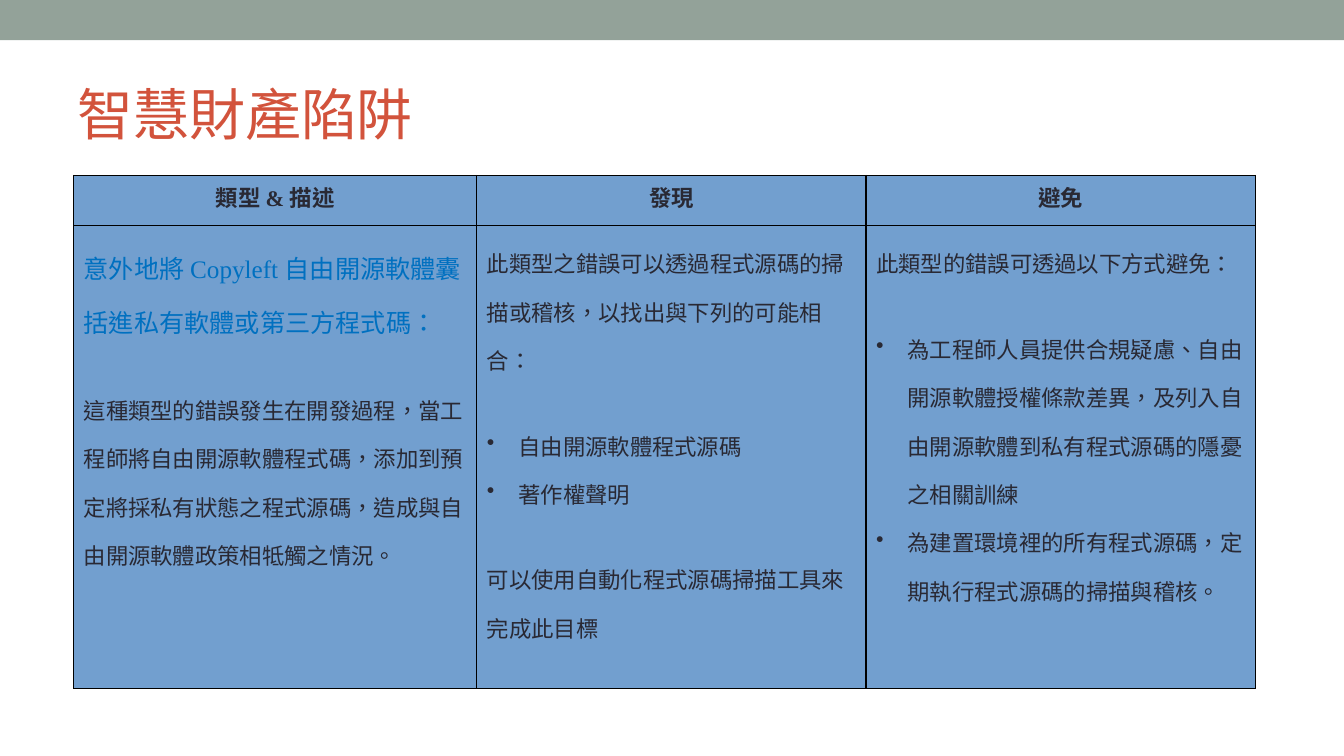
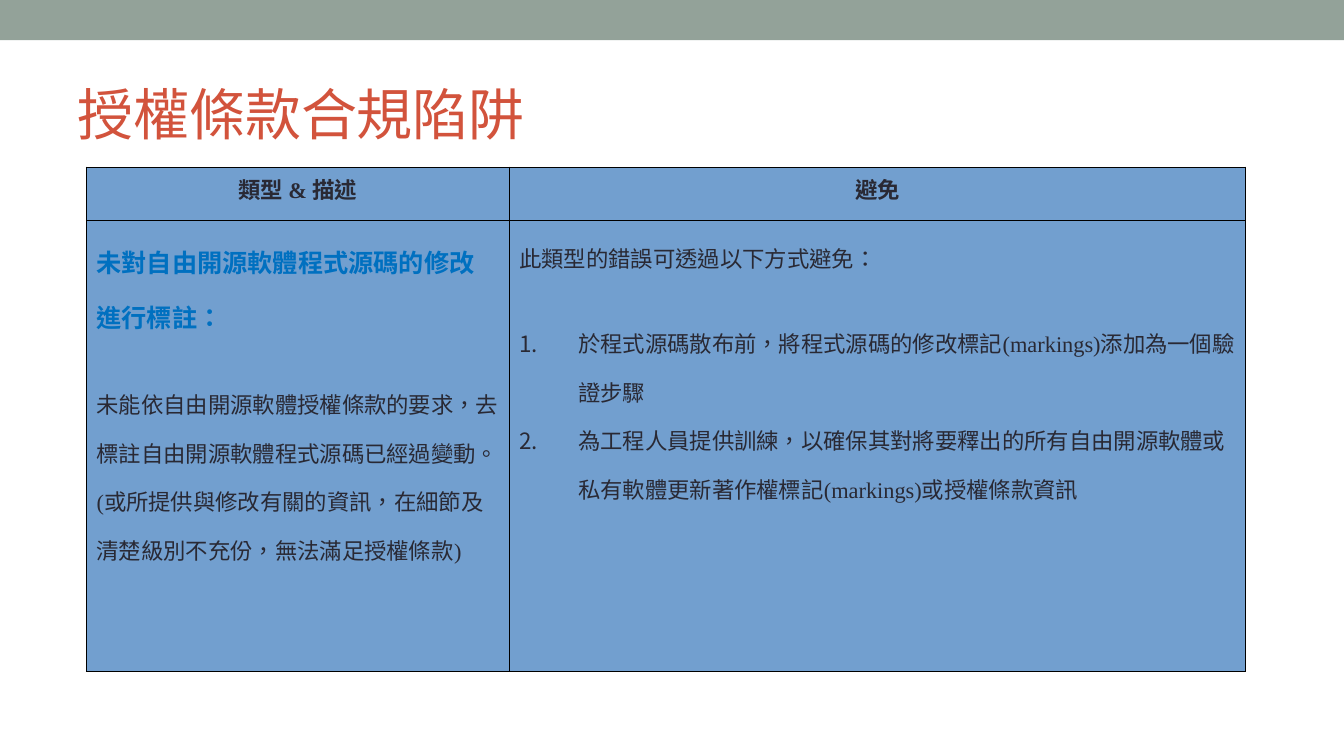
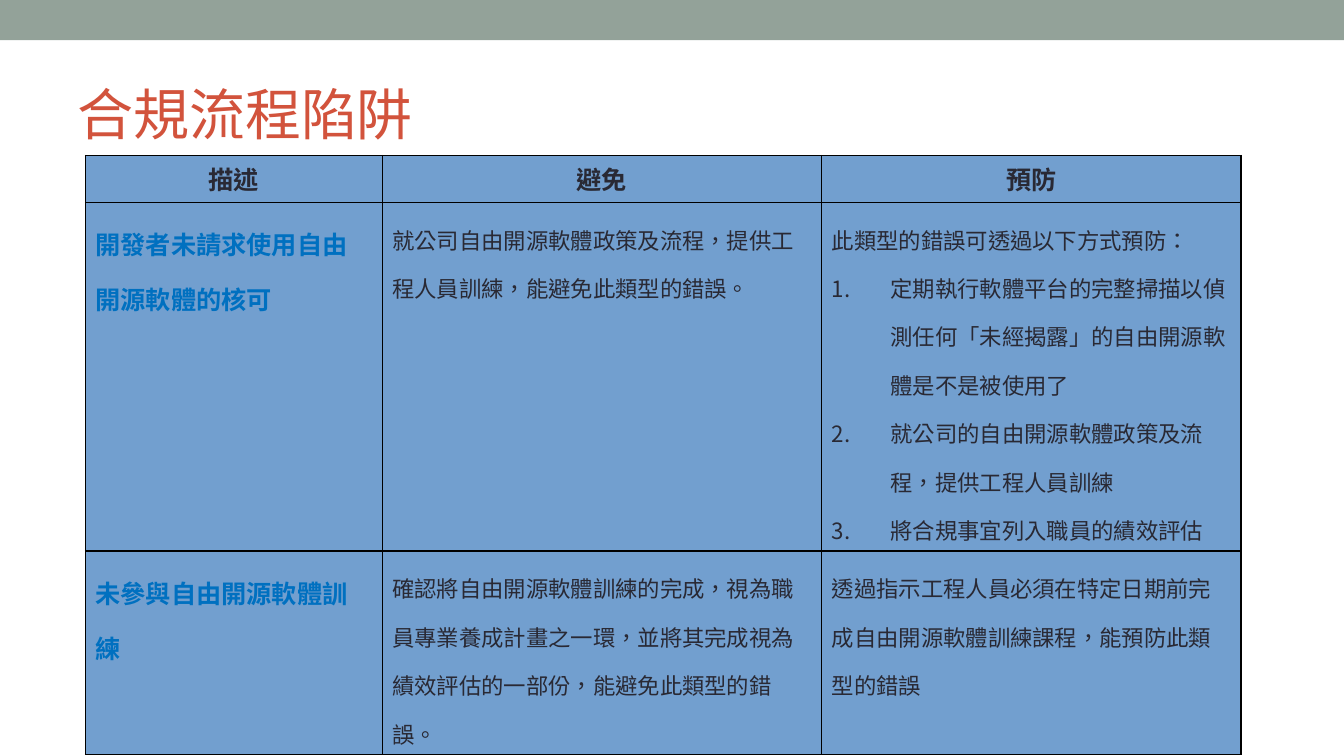
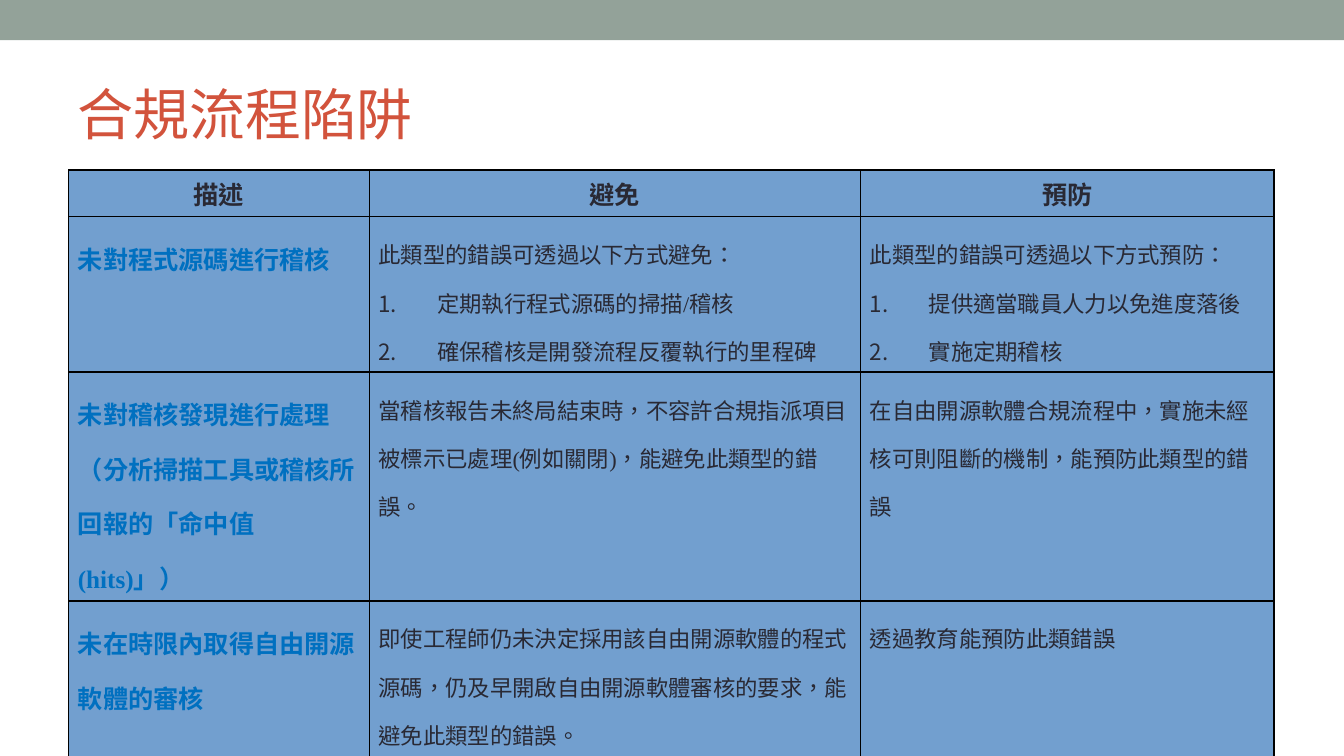
from dataclasses import dataclass

from lxml import etree
from pptx import Presentation
from pptx.dml.color import RGBColor
from pptx.enum import shapes, text
from pptx.oxml import ns
from pptx.util import Pt


@dataclass(frozen=True)
class Theme:
    font: str = "Times New Roman"
    language: str = "zh-TW"
    band: str = "93A299"
    title: str = "D2533C"
    ink: str = "292934"
    topic: str = "0070C0"
    cell: str = "729FCF"
    border: str = "000000"
    title_size: float = 40
    topic_size: float = 18
    body_size: float = 16
    border_width: float = 0.96
    line_spacing: float = 1.5
    section_gap: float = 26.5
    bullet_indent: float = 22.5
    number_indent: float = 42


@dataclass
class Line:
    text: str
    size: float
    color: str
    bold: bool = False
    marker: str = ""
    gap: float = 0
    header: bool = False


THEME = Theme()


def header(words, size=THEME.body_size):
    return [Line(words, size, THEME.ink, bold=True, header=True)]


def topic(words, bold=True):
    return Line(words, THEME.topic_size, THEME.topic, bold)


def body(words, marker="", gap=0):
    return Line(words, THEME.body_size, THEME.ink, marker=marker, gap=gap)


def marked(marker, *items, gap=0):
    """Return list items, with the gap before the first one."""
    return [body(item, marker, 0 if index else gap) for index, item in enumerate(items)]


class Deck:
    def __init__(self, theme):
        self.theme = theme
        self.presentation = Presentation()
        self.presentation.slide_width = Pt(960)
        self.presentation.slide_height = Pt(540)
        self.slide = None

    def add_slide(self, title):
        self.slide = self.presentation.slides.add_slide(self.presentation.slide_layouts[5])
        self.add_band()
        self.add_title(title)

    def add_band(self):
        band = self.slide.shapes.add_shape(
            shapes.MSO_SHAPE.RECTANGLE, 0, 0, self.presentation.slide_width, Pt(28.8))
        band.shadow.inherit = False
        band.fill.solid()
        band.fill.fore_color.rgb = RGBColor.from_string(self.theme.band)
        band.line.fill.background()

    def add_title(self, words):
        title = self.slide.shapes.title
        title.left, title.top, title.width, title.height = Pt(48), Pt(42), Pt(864), Pt(78)
        title.text_frame.vertical_anchor = text.MSO_ANCHOR.MIDDLE
        paragraph = title.text_frame.paragraphs[0]
        paragraph.alignment = text.PP_ALIGN.LEFT
        self.add_run(paragraph, words, self.theme.title_size, self.theme.title)

    def add_run(self, paragraph, words, size, color, bold=False):
        run = paragraph.add_run()
        run.text = words
        run.font.name = self.theme.font
        run.font.size = Pt(size)
        run.font.bold = bold
        run.font.color.rgb = RGBColor.from_string(color)
        run.font._element.set("lang", self.theme.language)

    def add_table(self, left, top, widths, heights, rows, margin=7.2):
        frame = self.slide.shapes.add_table(
            len(rows), len(widths), Pt(left), Pt(top), Pt(sum(widths)), Pt(sum(heights)))
        table = frame.table
        table.first_row = table.horz_banding = False
        for column, width in zip(table.columns, widths):
            column.width = Pt(width)
        for row, height, contents in zip(table.rows, heights, rows):
            row.height = Pt(height)
            for cell, lines in zip(row.cells, contents):
                self.fill_cell(cell, lines, margin)

    def fill_cell(self, cell, lines, margin):
        cell.margin_left = cell.margin_right = Pt(margin)
        cell.margin_top = cell.margin_bottom = Pt(3.6)
        self.add_borders(cell)
        cell.fill.solid()
        cell.fill.fore_color.rgb = RGBColor.from_string(self.theme.cell)
        for index, line in enumerate(lines):
            frame = cell.text_frame
            paragraph = frame.add_paragraph() if index else frame.paragraphs[0]
            self.write_line(paragraph, line)

    def add_borders(self, cell):
        properties = cell._tc.get_or_add_tcPr()
        for side in ("a:lnL", "a:lnR", "a:lnT", "a:lnB"):
            border = etree.SubElement(
                properties, ns.qn(side), w=str(Pt(self.theme.border_width)))
            fill = etree.SubElement(border, ns.qn("a:solidFill"))
            etree.SubElement(fill, ns.qn("a:srgbClr"), val=self.theme.border)

    def write_line(self, paragraph, line):
        # Keep closing punctuation inside the cell margin.
        paragraph._p.get_or_add_pPr().set("hangingPunct", "0")
        if line.header:
            paragraph.alignment = text.PP_ALIGN.CENTER
        else:
            paragraph.line_spacing = self.theme.line_spacing
        if line.gap:
            paragraph.space_before = Pt(line.gap)
        if line.marker:
            self.add_marker(paragraph, line.marker)
        self.add_run(paragraph, line.text, line.size, line.color, line.bold)

    def add_marker(self, paragraph, marker):
        """Hang a bullet or an automatic number before the paragraph."""
        numbered = marker == "1."
        indent = Pt(self.theme.number_indent if numbered else self.theme.bullet_indent)
        properties = paragraph._p.get_or_add_pPr()
        properties.set("marL", str(indent))
        properties.set("indent", str(-indent))
        color = etree.SubElement(properties, ns.qn("a:buClr"))
        etree.SubElement(color, ns.qn("a:srgbClr"), val=self.theme.ink)
        if numbered:
            etree.SubElement(properties, ns.qn("a:buAutoNum"), type="arabicPeriod")
        else:
            etree.SubElement(properties, ns.qn("a:buChar"), char=marker)


def add_property_slide(deck):
    gap = deck.theme.section_gap
    deck.add_slide("智慧財產陷阱")
    deck.add_table(52.6, 125.3, [288, 278, 278], [36, 330.3], [
        [header("類型 & 描述"), header("發現"), header("避免")],
        [
            [topic("意外地將 Copyleft 自由開源軟體囊括進私有軟體或第三方程式碼：", bold=False),
             body("這種類型的錯誤發生在開發過程，當工程師將自由開源軟體程式碼，添加到預定將採私有狀態之程式源碼，"
                  "造成與自由開源軟體政策相牴觸之情況。", gap=gap)],
            [body("此類型之錯誤可以透過程式源碼的掃描或稽核，以找出與下列的可能相合："),
             *marked("•", "自由開源軟體程式源碼", "著作權聲明", gap=gap),
             body("可以使用自動化程式源碼掃描工具來完成此目標", gap=gap)],
            [body("此類型的錯誤可透過以下方式避免："),
             *marked("•",
                     "為工程師人員提供合規疑慮、自由開源軟體授權條款差異，及列入自由開源軟體到私有程式源碼的隱憂之相關訓練",
                     "為建置環境裡的所有程式源碼，定期執行程式源碼的掃描與稽核。", gap=gap)],
        ],
    ])


def add_license_slide(deck):
    gap = deck.theme.section_gap
    deck.add_slide("授權條款合規陷阱")
    deck.add_table(61.8, 119.5, [302, 526], [38, 322], [
        [header("類型 & 描述"), header("避免")],
        [
            [topic("未對自由開源軟體程式源碼的修改進行標註："),
             body("未能依自由開源軟體授權條款的要求，去標註自由開源軟體程式源碼已經過變動。"
                  "(或所提供與修改有關的資訊，在細節及清楚級別不充份，無法滿足授權條款)", gap=gap)],
            [body("此類型的錯誤可透過以下方式避免："),
             *marked("1.",
                     "於程式源碼散布前，將程式源碼的修改標記(markings)添加為一個驗證步驟",
                     "為工程人員提供訓練，以確保其對將要釋出的所有自由開源軟體或私有軟體更新著作權標記(markings)或授權條款資訊",
                     gap=gap)],
        ],
    ])


def process_headers(deck):
    return [header(words, deck.theme.topic_size) for words in ("描述", "避免", "預防")]


def add_training_slide(deck):
    deck.add_slide("合規流程陷阱")
    deck.add_table(61, 111, [212, 314, 299.5], [33.4, 249, 145.5], [
        process_headers(deck),
        [
            [topic("開發者未請求使用自由開源軟體的核可")],
            [body("就公司自由開源軟體政策及流程，提供工程人員訓練，能避免此類型的錯誤。")],
            [body("此類型的錯誤可透過以下方式預防："),
             *marked("1.",
                     "定期執行軟體平台的完整掃描以偵測任何「未經揭露」的自由開源軟體是不是被使用了",
                     "就公司的自由開源軟體政策及流程，提供工程人員訓練",
                     "將合規事宜列入職員的績效評估")],
        ],
        [
            [topic("未參與自由開源軟體訓練")],
            [body("確認將自由開源軟體訓練的完成，視為職員專業養成計畫之一環，並將其完成視為績效評估的一部份，"
                  "能避免此類型的錯誤。")],
            [body("透過指示工程人員必須在特定日期前完成自由開源軟體訓練課程，能預防此類型的錯誤")],
        ],
    ])


def add_audit_slide(deck):
    deck.add_slide("合規流程陷阱")
    deck.add_table(49, 121.5, [214.8, 351, 295.2], [33.4, 110.5, 163.5, 110.5], [
        process_headers(deck),
        [
            [topic("未對程式源碼進行稽核")],
            [body("此類型的錯誤可透過以下方式避免："),
             *marked("1.", "定期執行程式源碼的掃描/稽核", "確保稽核是開發流程反覆執行的里程碑")],
            [body("此類型的錯誤可透過以下方式預防："),
             *marked("1.", "提供適當職員人力以免進度落後", "實施定期稽核")],
        ],
        [
            [topic("未對稽核發現進行處理（分析掃描工具或稽核所回報的「命中值(hits)」）")],
            [body("當稽核報告未終局結束時，不容許合規指派項目被標示已處理(例如關閉)，能避免此類型的錯誤。")],
            [body("在自由開源軟體合規流程中，實施未經核可則阻斷的機制，能預防此類型的錯誤")],
        ],
        [
            [topic("未在時限內取得自由開源軟體的審核")],
            [body("即使工程師仍未決定採用該自由開源軟體的程式源碼，仍及早開啟自由開源軟體審核的要求，"
                  "能避免此類型的錯誤。")],
            [body("透過教育能預防此類錯誤")],
        ],
    ], margin=6.6)


def main():
    deck = Deck(THEME)
    add_property_slide(deck)
    add_license_slide(deck)
    add_training_slide(deck)
    add_audit_slide(deck)
    deck.presentation.save("out.pptx")


if __name__ == "__main__":
    main()
